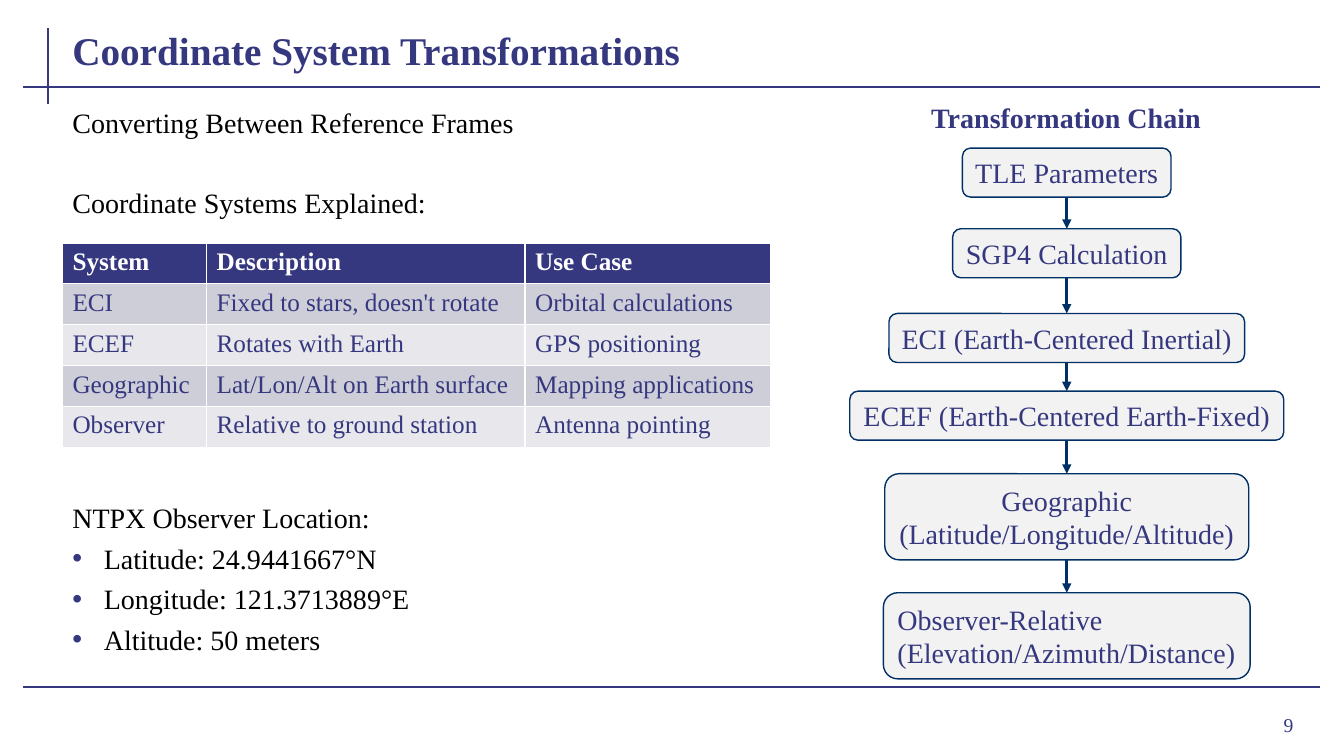
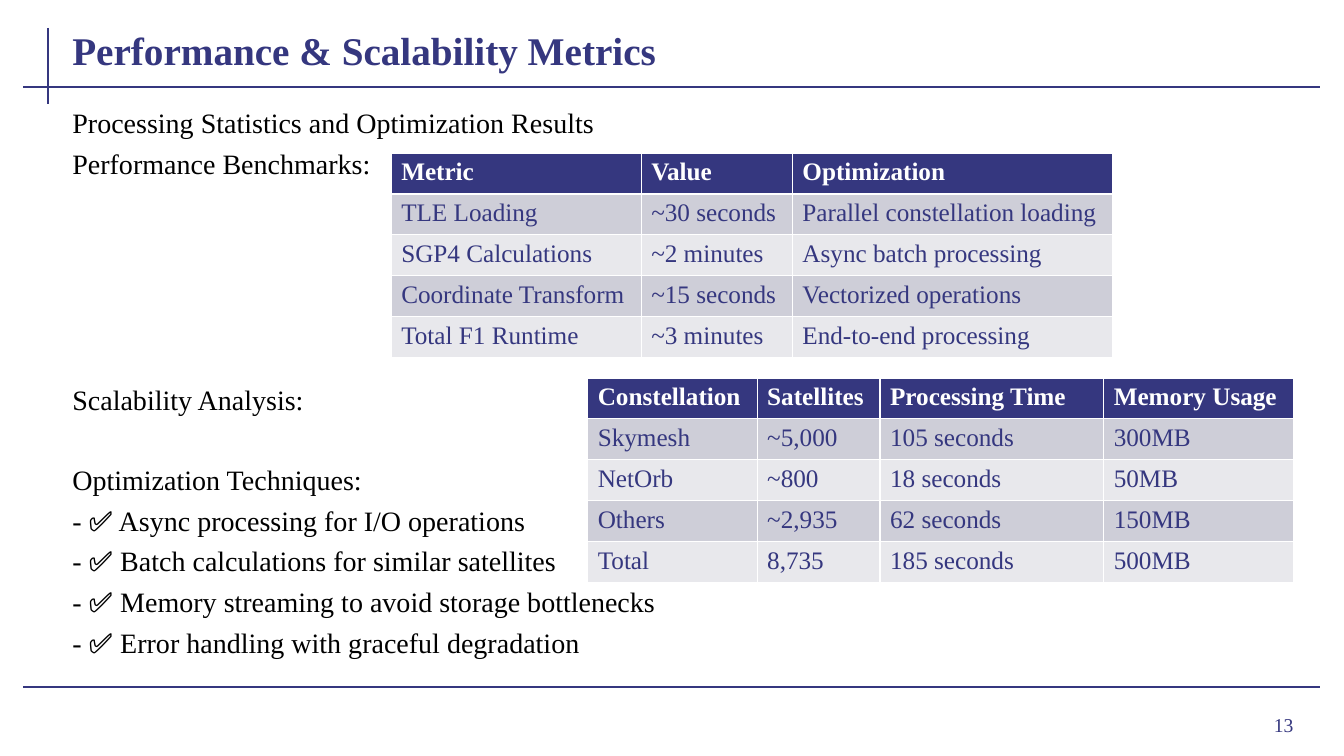
"""Build two slides on satellite coordinate transformations and processing metrics."""
from dataclasses import dataclass
from itertools import pairwise

from lxml.etree import SubElement
from pptx import Presentation
from pptx.dml.color import RGBColor
from pptx.enum.shapes import MSO_CONNECTOR as Connector, MSO_SHAPE as Shape
from pptx.enum.text import MSO_ANCHOR as Anchor, PP_ALIGN as Align
from pptx.oxml.ns import qn
from pptx.util import Pt


@dataclass(frozen=True)
class Theme:
    font: str = "Times New Roman"
    primary: str = "35377F"
    outline: str = "003065"
    text: str = "000000"
    white: str = "FFFFFF"
    box: str = "F2F2F2"
    bands: tuple = ("CECED8", "E8E8EC")
    title_size: int = 28
    body_size: int = 20
    table_size: int = 18
    number_size: int = 14


THEME = Theme()
FRAME_LINES = [(34, 20, 34, 74), (16.8, 62, 943, 62), (16.8, 491, 943, 491)]
TITLE_AREA = (44.6, 11, 899, 45)
BODY_AREA = (44.6, 72, 899, 409)
NUMBER_AREA = (861, 499, 70, 37.4)
ROW_HEIGHT = 29.2
LINE_GAP, LINE_PITCH = 5, 28
BULLET_INDENT = 22.5

CHAIN_HEADING = ("Transformation Chain", (658, 68.4, 211, 31.7))
CHAIN_CENTER = 762
BOX_HEIGHTS = {1: 35, 2: 61.5}
CHAIN = [
    (["TLE Parameters"], 105.8, 149, Align.CENTER),
    (["SGP4 Calculation"], 163.4, 163, Align.CENTER),
    (["ECI (Earth-Centered Inertial)"], 223.9, 254, Align.CENTER),
    (["ECEF (Earth-Centered Earth-Fixed)"], 279.4, 310, Align.CENTER),
    (["Geographic", "(Latitude/Longitude/Altitude)"], 338.4, 260, Align.CENTER),
    (["Observer-Relative", "(Elevation/Azimuth/Distance)"], 423.4, 262, Align.LEFT),
]

SLIDES = [
    {
        "title": "Coordinate System Transformations",
        "number": "9",
        "body": [
            ("Converting Between Reference Frames", 0, False),
            ("Coordinate Systems Explained:", 1, False),
            ("NTPX Observer Location:", 7, False),
            ("Latitude: 24.9441667°N", 0, True),
            ("Longitude: 121.3713889°E", 0, True),
            ("Altitude: 50 meters", 0, True),
        ],
        "chain": CHAIN,
        "tables": [
            ((44.6, 173.5), (103, 227.5, 175.7), [
                ("System", "Description", "Use Case"),
                ("ECI", "Fixed to stars, doesn't rotate", "Orbital calculations"),
                ("ECEF", "Rotates with Earth", "GPS positioning"),
                ("Geographic", "Lat/Lon/Alt on Earth surface", "Mapping applications"),
                ("Observer", "Relative to ground station", "Antenna pointing"),
            ]),
        ],
    },
    {
        "title": "Performance & Scalability Metrics",
        "number": "13",
        "body": [
            ("Processing Statistics and Optimization Results", 0, False),
            ("Performance Benchmarks:", 0, False),
            ("Scalability Analysis:", 5, False),
            ("Optimization Techniques:", 1, False),
            ("- ✅ Async processing for I/O operations", 0, False),
            ("- ✅ Batch calculations for similar satellites", 0, False),
            ("- ✅ Memory streaming to avoid storage bottlenecks", 0, False),
            ("- ✅ Error handling with graceful degradation", 0, False),
        ],
        "chain": [],
        "tables": [
            ((279.4, 109.4), (178.6, 108, 229), [
                ("Metric", "Value", "Optimization"),
                ("TLE Loading", "~30 seconds", "Parallel constellation loading"),
                ("SGP4 Calculations", "~2 minutes", "Async batch processing"),
                ("Coordinate Transform", "~15 seconds", "Vectorized operations"),
                ("Total F1 Runtime", "~3 minutes", "End-to-end processing"),
            ]),
            ((419.8, 270), (121, 87.8, 159.8, 135.4), [
                ("Constellation", "Satellites", "Processing Time", "Memory Usage"),
                ("Skymesh", "~5,000", "105 seconds", "300MB"),
                ("NetOrb", "~800", "18 seconds", "50MB"),
                ("Others", "~2,935", "62 seconds", "150MB"),
                ("Total", "8,735", "185 seconds", "500MB"),
            ]),
        ],
    },
]


def rgb(color):
    return RGBColor.from_string(color)


def points(values):
    return [Pt(value) for value in values]


def style(paragraph, size, color=THEME.primary, bold=False, align=Align.LEFT):
    paragraph.alignment = align
    font = paragraph.font
    font.name, font.size, font.bold = THEME.font, Pt(size), bold
    font.color.rgb = rgb(color)


def fill_lines(frame, lines):
    frame.text = "\n".join(lines)
    return frame.paragraphs


def add_text(slide, area, lines, anchor=Anchor.TOP):
    frame = slide.shapes.add_textbox(*points(area)).text_frame
    frame.word_wrap = True
    frame.vertical_anchor = anchor
    return fill_lines(frame, lines)


def add_line(slide, ends, color, width, arrow=False):
    connector = slide.shapes.add_connector(Connector.STRAIGHT, *points(ends))
    connector.line.color.rgb = rgb(color)
    connector.line.width = Pt(width)
    properties = connector._element.spPr
    if arrow:
        SubElement(properties.find(qn("a:ln")), qn("a:tailEnd"), type="triangle")
    SubElement(properties, qn("a:effectLst"))
    return connector


def add_bullet(paragraph):
    properties = paragraph._p.get_or_add_pPr()
    properties.set("marL", str(Pt(BULLET_INDENT)))
    properties.set("indent", str(-Pt(BULLET_INDENT)))
    color = SubElement(properties, qn("a:buClr"))
    SubElement(color, qn("a:srgbClr"), val=THEME.primary)
    SubElement(properties, qn("a:buFont"), typeface="Arial")
    SubElement(properties, qn("a:buChar"), char="•")


def add_frame(slide, title, number):
    for ends in FRAME_LINES:
        add_line(slide, ends, THEME.primary, 1.5)
    heading = add_text(slide, TITLE_AREA, [title], Anchor.BOTTOM)[0]
    style(heading, THEME.title_size, bold=True)
    page = add_text(slide, NUMBER_AREA, [number], Anchor.MIDDLE)[0]
    style(page, THEME.number_size, align=Align.RIGHT)


def add_body(slide, items):
    paragraphs = add_text(slide, BODY_AREA, [text for text, _, _ in items])
    for paragraph, (_, skipped, bulleted) in zip(paragraphs, items):
        paragraph.space_before = Pt(LINE_GAP + LINE_PITCH * skipped)
        if bulleted:
            add_bullet(paragraph)
        style(paragraph, THEME.body_size, THEME.text)


def add_box(slide, lines, top, width, align):
    area = (CHAIN_CENTER - width / 2, top, width, BOX_HEIGHTS[len(lines)])
    box = slide.shapes.add_shape(Shape.ROUNDED_RECTANGLE, *points(area))
    box.shadow.inherit = False
    box.fill.solid()
    box.fill.fore_color.rgb = rgb(THEME.box)
    box.line.color.rgb = rgb(THEME.outline)
    box.line.width = Pt(1)
    box.text_frame.word_wrap = False
    for paragraph in fill_lines(box.text_frame, lines):
        style(paragraph, THEME.body_size, align=align)
    return box


def add_chain(slide, steps):
    text, area = CHAIN_HEADING
    style(add_text(slide, area, [text])[0], THEME.body_size, bold=True)
    boxes = [add_box(slide, *step) for step in steps]
    for upper, lower in pairwise(boxes):
        arrow = add_line(slide, (0, 0, 0, 0), THEME.outline, 2.25, arrow=True)
        arrow.begin_connect(upper, 2)
        arrow.end_connect(lower, 0)


def add_grid(slide, origin, widths, rows):
    size = (sum(widths), ROW_HEIGHT * len(rows))
    table = slide.shapes.add_table(len(rows), len(widths), *points(origin + size)).table
    for column, width in zip(table.columns, widths):
        column.width = Pt(width)
    for row_index, row in enumerate(rows):
        header = row_index == 0
        fill = THEME.primary if header else THEME.bands[(row_index - 1) % 2]
        color = THEME.white if header else THEME.primary
        for column_index, text in enumerate(row):
            cell = table.cell(row_index, column_index)
            cell.fill.solid()
            cell.fill.fore_color.rgb = rgb(fill)
            cell.text = text
            style(cell.text_frame.paragraphs[0], THEME.table_size, color, header)


def main():
    presentation = Presentation()
    presentation.slide_width, presentation.slide_height = Pt(960), Pt(540)
    for content in SLIDES:
        slide = presentation.slides.add_slide(presentation.slide_layouts[6])
        add_frame(slide, content["title"], content["number"])
        add_body(slide, content["body"])
        if content["chain"]:
            add_chain(slide, content["chain"])
        for table in content["tables"]:
            add_grid(slide, *table)
    presentation.save("out.pptx")


if __name__ == "__main__":
    main()
